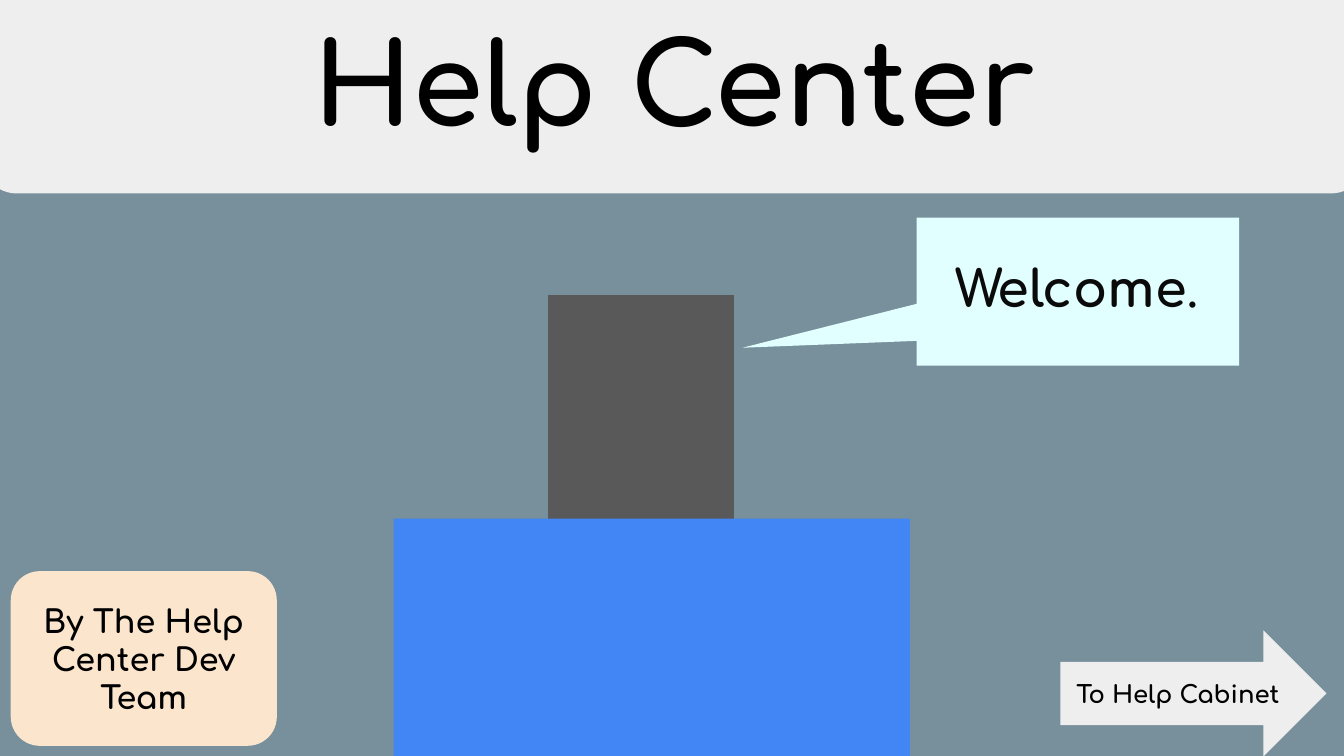
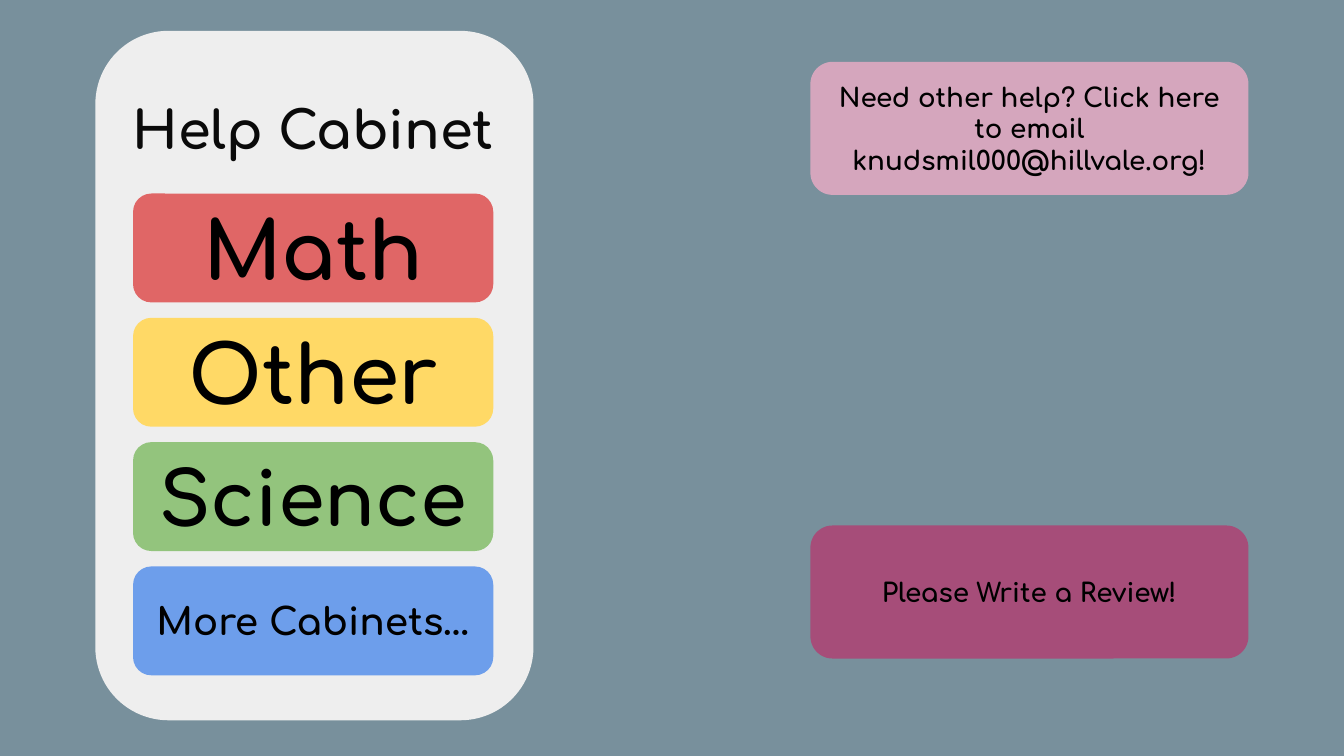
from dataclasses import dataclass
from typing import Optional

import pptx
import pptx.util
import pptx.dml.color
import pptx.enum.shapes
import pptx.enum.text

RGBColor = pptx.dml.color.RGBColor
SHAPES = pptx.enum.shapes.MSO_SHAPE
ALIGN = pptx.enum.text.PP_ALIGN
ANCHOR = pptx.enum.text.MSO_ANCHOR

# Shared scale, font and colours
EMU_PER_PX = 914400 // 200
SLIDE_WIDTH, SLIDE_HEIGHT = 2000, 1125
INSET = 20
FONT = "Comfortaa"
BACKGROUND = RGBColor(0x78, 0x90, 0x9C)
PANEL = RGBColor(0xEE, 0xEE, 0xEE)
BLACK = RGBColor(0x00, 0x00, 0x00)
TITLE_INK = RGBColor(0x0A, 0x0A, 0x0A)
HEAD_GRAY = RGBColor(0x59, 0x59, 0x59)
BODY_BLUE = RGBColor(0x42, 0x85, 0xF4)
SPEECH = RGBColor(0xE1, 0xFF, 0xFF)
PEACH = RGBColor(0xFC, 0xE5, 0xCD)
RED = RGBColor(0xE0, 0x66, 0x66)
YELLOW = RGBColor(0xFF, 0xD9, 0x66)
GREEN = RGBColor(0x93, 0xC4, 0x7D)
BLUE = RGBColor(0x6D, 0x9E, 0xEB)
PINK = RGBColor(0xD5, 0xA6, 0xBD)
PLUM = RGBColor(0xA6, 0x4D, 0x79)


@dataclass(frozen=True)
class Box:
    left: int
    top: int
    width: int
    height: int


@dataclass(frozen=True)
class Block:
    box: Box
    fill: RGBColor
    text: str = ""
    size: float = 14
    kind: SHAPES = SHAPES.ROUNDED_RECTANGLE
    adjustments: tuple[float, ...] = (0.167,)
    outline: Optional[RGBColor] = None


def px(length: int) -> pptx.util.Emu:
    return pptx.util.Emu(length * EMU_PER_PX)


def place(box: Box) -> tuple:
    return px(box.left), px(box.top), px(box.width), px(box.height)


def write(shape, text: str, *, size: float, color: RGBColor = BLACK,
          align=ALIGN.CENTER, anchor=ANCHOR.MIDDLE, last_size: Optional[float] = None) -> None:
    """Write one paragraph per line; last_size resizes the closing character."""
    frame = shape.text_frame
    frame.word_wrap = True
    frame.auto_size = pptx.enum.text.MSO_AUTO_SIZE.NONE
    frame.vertical_anchor = anchor
    frame.margin_left = frame.margin_right = px(INSET)
    frame.margin_top = frame.margin_bottom = px(INSET)
    for index, line in enumerate(text.split("\n")):
        paragraph = frame.add_paragraph() if index else frame.paragraphs[0]
        paragraph.alignment = align
        pieces = [(line, size)] if last_size is None else [(line[:-1], size), (line[-1], last_size)]
        for piece, piece_size in pieces:
            run = paragraph.add_run()
            run.text = piece
            run.font.name = FONT
            run.font.size = pptx.util.Pt(piece_size)
            run.font.bold = True
            run.font.color.rgb = color


def draw(slide, block: Block) -> None:
    shape = slide.shapes.add_shape(block.kind, *place(block.box))
    shape.shadow.inherit = False
    for index, value in enumerate(block.adjustments):
        shape.adjustments[index] = value
    shape.fill.solid()
    shape.fill.fore_color.rgb = block.fill
    if block.outline is None:
        shape.line.fill.background()
    else:
        shape.line.color.rgb = block.outline
        shape.line.width = pptx.util.Pt(0.75)
    if block.text:
        write(shape, block.text, size=block.size)


def add_title(slide, box: Box, text: str, **text_format) -> None:
    title = slide.shapes.title
    title.left, title.top, title.width, title.height = place(box)
    write(title, text, color=TITLE_INK, anchor=ANCHOR.TOP, **text_format)
    # Bring the title in front of the shapes drawn so far
    title.element.getparent().append(title.element)


def add_slide(presentation):
    slide = presentation.slides.add_slide(presentation.slide_layouts[5])
    slide.background.fill.solid()
    slide.background.fill.fore_color.rgb = BACKGROUND
    return slide


def build_welcome(presentation) -> None:
    slide = add_slide(presentation)

    # Attendant and speech callout
    for block in (
        Block(Box(816, 440, 276, 580), HEAD_GRAY, kind=SHAPES.RECTANGLE,
              adjustments=(), outline=HEAD_GRAY),
        Block(Box(586, 772, 768, 353), BODY_BLUE, kind=SHAPES.RECTANGLE, adjustments=()),
        Block(Box(1364, 324, 480, 220), SPEECH, kind=SHAPES.ROUNDED_RECTANGULAR_CALLOUT,
              adjustments=(-1.04, 0.38, 0)),
    ):
        draw(slide, block)
    add_title(slide, Box(1402, 362, 404, 142), "Welcome.", size=27.2, last_size=24.2,
              align=ALIGN.LEFT)

    # Banner, way onward and byline
    for block in (
        Block(Box(-30, -46, 2066, 334), PANEL, "Help Center", 61),
        Block(Box(1578, 938, 396, 188), PANEL, "To Help Cabinet", 13,
              SHAPES.RIGHT_ARROW, (0.5, 0.5)),
        Block(Box(16, 850, 396, 260), PEACH, "By The Help Center Dev Team", 17),
    ):
        draw(slide, block)


def build_cabinet(presentation) -> None:
    slide = add_slide(presentation)

    # Cabinet with its evenly stacked drawers
    draw(slide, Block(Box(142, 46, 652, 1026), PANEL))
    add_title(slide, Box(152, 124, 628, 134), "Help Cabinet", size=28)
    drawers = (
        ("Math", 43, RED),
        ("Other", 43, YELLOW),
        ("Science", 40, GREEN),
        ("More Cabinets…", 20, BLUE),
    )
    for index, (label, size, color) in enumerate(drawers):
        draw(slide, Block(Box(198, 288 + 185 * index, 536, 162), color, label, size))

    # Contact and review buttons
    for top, color, label in (
        (92, PINK, "Need other help? Click here to email\nknudsmil000@hillvale.org!"),
        (782, PLUM, "Please Write a Review!"),
    ):
        draw(slide, Block(Box(1206, top, 652, 198), color, label))


def main() -> None:
    presentation = pptx.Presentation()
    presentation.slide_width = px(SLIDE_WIDTH)
    presentation.slide_height = px(SLIDE_HEIGHT)
    build_welcome(presentation)
    build_cabinet(presentation)
    presentation.save("out.pptx")


if __name__ == "__main__":
    main()
